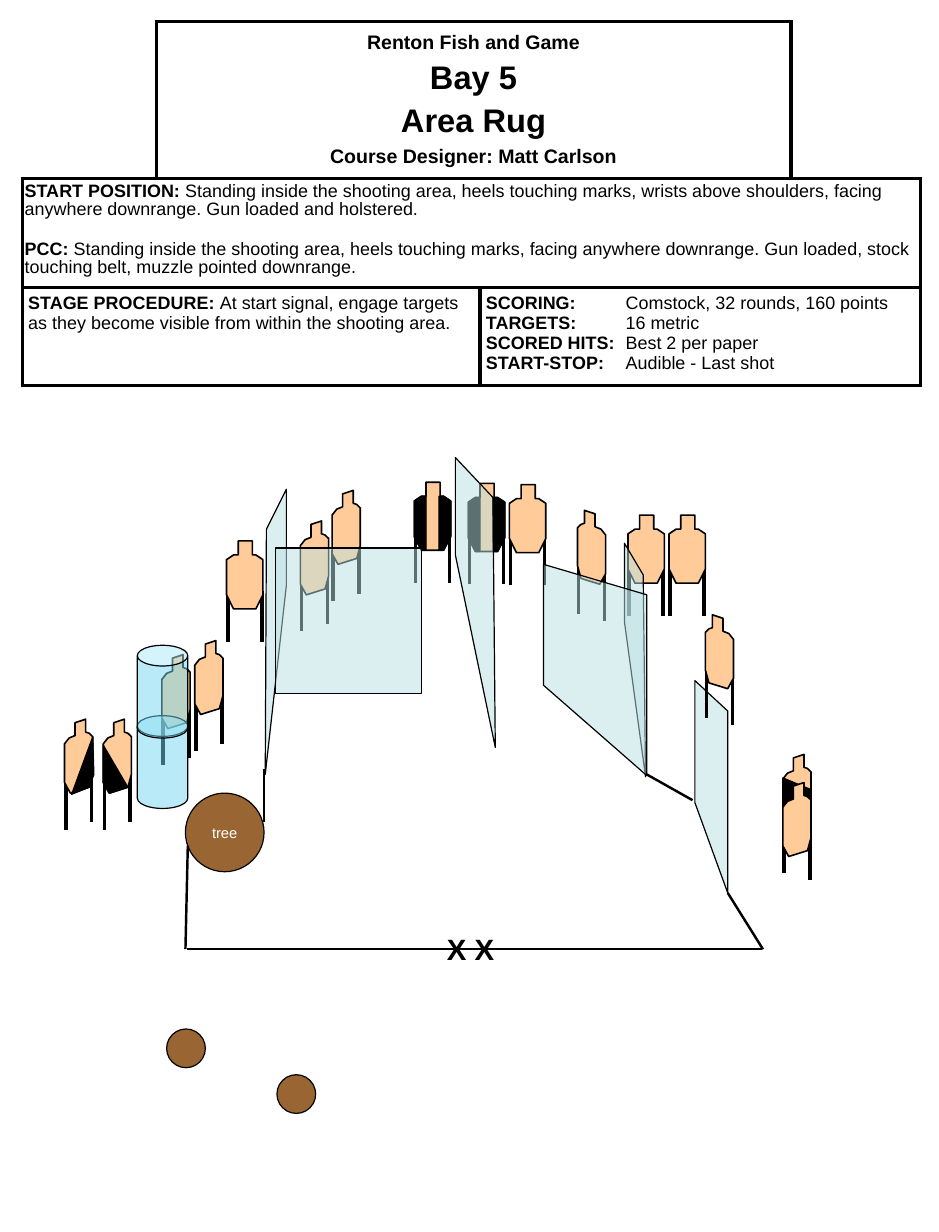
from lxml.etree import SubElement
from pptx import Presentation
from pptx.dml.color import RGBColor
from pptx.enum.shapes import MSO_CONNECTOR, MSO_SHAPE
from pptx.enum.text import MSO_ANCHOR, PP_ALIGN
from pptx.oxml import parse_xml
from pptx.oxml.ns import nsdecls, qn
from pptx.util import Inches, Pt

BLACK, WHITE, TAN, BROWN = "000000", "FFFFFF", "FFCC99", "996633"
GLASS, BARREL = "BBE0E3", "73D9F1"

HEADING = [("Renton Fish and Game", 12, 0), ("Bay 5", 20, 4),
           ("Area Rug", 20, 4), ("Course Designer: Matt Carlson", 12, 4.2)]
START = [
    ("START POSITION:", " Standing inside the shooting area, heels touching marks, wrists above "
     "shoulders, facing anywhere downrange. Gun loaded and holstered.", 0),
    ("PCC: ", "Standing inside the shooting area, heels touching marks, facing anywhere "
     "downrange. Gun loaded, stock touching belt, muzzle pointed downrange.", 13.5)]
PROCEDURE = ("STAGE PROCEDURE: ", "At start signal, engage targets as they become visible "
             "from within the shooting area.")
SCORING = [("SCORING:", "Comstock, 32 rounds, 160 points"), ("TARGETS:", "16 metric"),
           ("SCORED HITS:", "Best 2 per paper"), ("START-STOP:", "Audible - Last shot")]
COLUMNS, ROWS = (1.14, 2.76, 2.65, 1.1), (1.34, 0.93, 0.83)

FRONT = [(.1, 0), (.22, 0), (.22, .12), (.25, .12), (.31, .16), (.31, .46), (.25, .58),
         (.06, .58), (0, .46), (0, .16), (.06, .12), (.1, .12)]
TURNED = [(.09, .03), (.18, 0), (.18, .11), (.21, .12), (.24, .15), (.24, .47), (.21, .58),
          (.05, .63), (0, .54), (0, .21), (.04, .16), (.09, .14)]


def mirror(points, width):
    return [(width - x, y) for x, y in points]


FRONT_LEGS, TURNED_LEGS = [(.01, .43), (.3, .43)], [(.01, .51), (.23, .45)]
POSES = {"front": (FRONT, FRONT_LEGS), "left": (TURNED, TURNED_LEGS),
         "right": (mirror(TURNED, .24), mirror(TURNED_LEGS, .24))}
LEG = 0.43
FRONT_SIDE = [(.21, .12), (.21, .58), (.25, .58), (.31, .47), (.31, .16), (.25, .12)]
HARD_COVER = {
    "sides": [FRONT_SIDE, mirror(FRONT_SIDE, .31)],
    "right half": [[(.06, .64), (.21, .58), (.25, .47), (.24, .15)]],
    "left half": [[(.21, .58), (.06, .63), (0, .54), (0, .22)]],
    "body": [[(.24, .54), (.18, .64), (.02, .59), (0, .4), (0, .2), (.24, .3)]]}

REAR_TARGETS = [("front", 3.53, 4.11, "sides"), ("front", 3.99, 4.12, "sides"),
                ("front", 5.35, 4.39), ("right", 4.92, 4.35), ("front", 4.34, 4.13),
                ("left", 2.83, 4.18), ("left", 2.56, 4.44)]
SIDE_TARGETS = [("front", 1.93, 4.61), ("left", 1.38, 5.58), ("left", 1.66, 5.46)]
NEAR_TARGETS = [("right", 6.01, 5.24), ("front", 5.7, 4.39),
                ("left", .55, 6.13, "right half"), ("left", .88, 6.13, "left half")]
STACKED_TARGET = (6.67, 6.43, 6.67)

TREES = [(1.58, 6.76, .67, "tree"), (1.42, 8.77, .33, ""), (2.36, 9.16, .33, "")]
REAR_WALLS = [[(3.88, 4.73), (4.22, 6.37), (4.2, 4.24), (3.88, 3.9)],
              [(5.32, 5.3), (5.5, 6.62), (5.48, 4.9), (5.32, 4.63)]]
LEFT_WALL = [(2.44, 4.99), (2.26, 6.6), (2.27, 4.51), (2.44, 4.17)]
RIGHT_WALLS = [[(4.63, 5.84), (5.51, 6.61), (5.51, 5.07), (4.63, 4.81)],
               [(5.92, 6.84), (6.2, 7.61), (6.2, 6.06), (5.92, 5.8)]]
FAULT_LINES = [(2.25, 6.55, 2.25, 7.01), (1.6, 7.21, 1.58, 8.09), (1.59, 8.09, 6.49, 8.09),
               (5.51, 6.6, 5.9, 6.82), (6.2, 7.61, 6.5, 8.09)]


def color(value):
    return RGBColor.from_string(value)


def paint(shape, fill, width, alpha=None):
    shape.shadow.inherit = False
    shape.fill.solid()
    shape.fill.fore_color.rgb = color(fill)
    shape.line.color.rgb = color(BLACK)
    shape.line.width = Pt(width)
    if alpha:
        tint = shape.fill._xPr.find(qn("a:solidFill"))[0]
        SubElement(tint, qn("a:alpha")).set("val", str(alpha * 1000))
    return shape


def line(shapes, x1, y1, x2, y2, width):
    rod = shapes.add_connector(MSO_CONNECTOR.STRAIGHT, *map(Inches, (x1, y1, x2, y2)))
    rod.line.color.rgb = color(BLACK)
    rod.line.width = Pt(width)
    SubElement(rod._element.spPr, qn("a:effectLst"))


def polygon(shapes, points, fill, width, alpha=None, x=0, y=0):
    corners = [(Inches(x + px), Inches(y + py)) for px, py in points]
    builder = shapes.build_freeform(*corners[0])
    builder.add_line_segments(corners[1:], close=True)
    paint(builder.convert_to_shape(), fill, width, alpha)


def preset(shapes, kind, x, y, w, h, fill, alpha=None):
    return paint(shapes.add_shape(kind, *map(Inches, (x, y, w, h))), fill, .75, alpha)


def write(frame, *parts, size=11, ink=BLACK, align=None, before=0, spacing=None, tab=None):
    paragraph = frame.paragraphs[0]
    if paragraph.runs:
        paragraph = frame.add_paragraph()
    if tab:
        stops = SubElement(paragraph._p.get_or_add_pPr(), qn("a:tabLst"))
        SubElement(stops, qn("a:tab"), pos=str(Inches(tab)), algn="l")
    if align:
        paragraph.alignment = align
    if before:
        paragraph.space_before = Pt(before)
    if spacing:
        paragraph.line_spacing = spacing
    for words, bold in parts:
        run = paragraph.add_run()
        run.text = words
        run.font.name, run.font.size, run.font.bold = "Arial", Pt(size), bold
        run.font.color.rgb = color(ink)


def legs(shapes, pose, x, y):
    for lx, ly in POSES[pose][1]:
        line(shapes, x + lx, y + ly, x + lx, y + ly + LEG, 2.25)


def board(shapes, pose, x, y, cover=None):
    polygon(shapes, POSES[pose][0], TAN, 1, x=x, y=y)
    for patch in HARD_COVER.get(cover, []):
        polygon(shapes, patch, BLACK, 0, x=x, y=y)


def targets(shapes, places):
    for pose, x, y, *cover in places:
        group = shapes.add_group_shape().shapes
        legs(group, pose, x, y)
        board(group, pose, x, y, *cover)


def border(cell, sides):
    properties = cell._tc.get_or_add_tcPr()
    for place, side in enumerate(sides):
        properties.insert(place, parse_xml(
            f'<a:ln{side} {nsdecls("a")} w="{Pt(2.25)}"><a:solidFill>'
            f'<a:srgbClr val="{BLACK}"/></a:solidFill></a:ln{side}>'))


def briefing(shapes):
    grid = shapes.add_table(3, 4, *map(Inches, (.19, .18, sum(COLUMNS), sum(ROWS)))).table
    grid.first_row = grid.horz_banding = False
    for column, width in zip(grid.columns, COLUMNS):
        column.width = Inches(width)
    for row, height in zip(grid.rows, ROWS):
        row.height = Inches(height)
    corners = {(0, 0): "RB", (0, 3): "LB"}
    for r in range(len(ROWS)):
        for c in range(len(COLUMNS)):
            cell = grid.cell(r, c)
            cell.fill.solid()
            cell.fill.fore_color.rgb = color(WHITE)
            border(cell, corners.get((r, c), "LRTB"))
            cell.margin_left = cell.margin_right = Inches(.02 if r == 1 else .05)
            cell.margin_top = cell.margin_bottom = Inches(.04 if r == 1 else .05)
    for r, first, last in [(0, 1, 2), (1, 0, 3), (2, 0, 1), (2, 2, 3)]:
        grid.cell(r, first).merge(grid.cell(r, last))
    grid.cell(0, 1).vertical_anchor = MSO_ANCHOR.MIDDLE
    for words, size, before in HEADING:
        write(grid.cell(0, 1).text_frame, (words, True), size=size, before=before,
              align=PP_ALIGN.CENTER)
    for label, words, before in START:
        write(grid.cell(1, 0).text_frame, (label, True), (words, False), before=before, spacing=.9)
    write(grid.cell(2, 0).text_frame, (PROCEDURE[0], True), (PROCEDURE[1], False))
    for label, value in SCORING:
        write(grid.cell(2, 2).text_frame, (label + "\t", True), (value, False), tab=1.19)


def main():
    deck = Presentation()
    deck.slide_width, deck.slide_height = Inches(8), Inches(10.5)
    shapes = deck.slides.add_slide(deck.slide_layouts[6]).shapes

    targets(shapes, REAR_TARGETS)
    for x, y, size, label in TREES:
        tree = preset(shapes, MSO_SHAPE.OVAL, x, y, size, size, BROWN)
        if label:
            tree.text_frame.word_wrap = False
            write(tree.text_frame, (label, False), size=9, ink=WHITE, align=PP_ALIGN.CENTER)
    heel_marks = shapes.add_textbox(*map(Inches, (3.71, 7.89, .63, .4))).text_frame
    heel_marks.word_wrap = False
    write(heel_marks, ("X X", True), size=18)
    briefing(shapes)
    for wall in REAR_WALLS:
        polygon(shapes, wall, GLASS, .75, 50)
    targets(shapes, SIDE_TARGETS)
    polygon(shapes, LEFT_WALL, GLASS, .75, 50)
    barrels = shapes.add_group_shape().shapes
    for y in (6.1, 5.5):
        barrel = preset(barrels, MSO_SHAPE.CAN, 1.17, y, .43, .79, BARREL, 50)
        barrel.adjustments[0] = .41
    preset(shapes, MSO_SHAPE.RECTANGLE, 2.35, 4.67, 1.24, 1.24, GLASS, 50)
    for wall in RIGHT_WALLS:
        polygon(shapes, wall, GLASS, .75, 50)
    for ends in FAULT_LINES:
        line(shapes, *ends, 1.5)
    targets(shapes, NEAR_TARGETS)
    x, upper, lower = STACKED_TARGET
    stack = shapes.add_group_shape().shapes
    legs(stack, "right", x, upper + .13)
    board(stack, "left", x, upper, "body")
    board(stack, "left", x, lower)
    deck.save("out.pptx")


if __name__ == "__main__":
    main()
